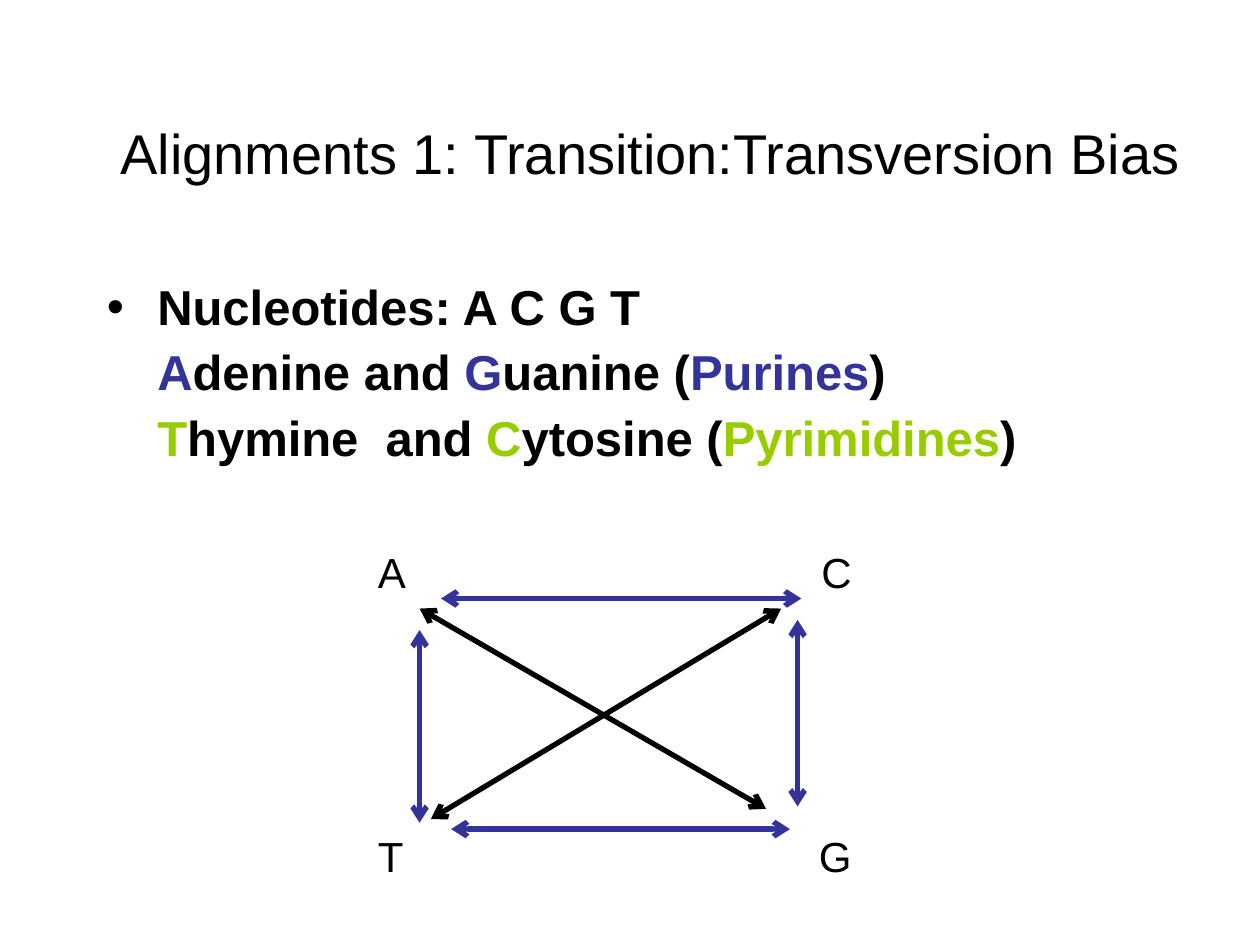
from lxml.etree import SubElement
from pptx import Presentation
from pptx.dml.color import RGBColor
from pptx.enum.shapes import MSO_CONNECTOR as Connector
from pptx.enum.text import MSO_ANCHOR as Anchor, PP_ALIGN as Align
from pptx.oxml.ns import qn
from pptx.util import Inches, Pt

COLOURS = {"black": "000000", "purine": "333399", "pyrimidine": "99CC00"}
TITLE_FONT = {"name": "Arial", "size": Pt(32)}
BODY_FONT = {"name": "Arial", "size": Pt(28), "bold": True}
LABEL_FONT = {"name": "Arial", "size": Pt(24)}

NUCLEOTIDE_LINES = [
    [("Nucleotides: A C G T", "black")],
    [("A", "purine"), ("denine and ", "black"), ("G", "purine"),
     ("uanine (", "black"), ("Purines", "purine"), (")", "black")],
    [("T", "pyrimidine"), ("hymine  and ", "black"), ("C", "pyrimidine"),
     ("ytosine (", "black"), ("Pyrimidines", "pyrimidine"), (")", "black")],
]
BASES = [
    ("A", 0, 0, 0.42),
    ("C", 3.52, 0, 0.44),
    ("G", 3.5, 2.25, 0.46),
    ("T", 0, 2.25, 0.4),
]
ARROWS = [
    ("black", (0.43, 0.54), (3.18, 2.13)),
    ("black", (0.52, 2.21), (3.3, 0.54)),
    ("purine", (0.43, 0.71), (0.43, 2.24)),
    ("purine", (3.43, 2.11), (3.43, 0.63)),
    ("purine", (0.6, 0.46), (3.46, 0.46)),
    ("purine", (3.37, 2.29), (0.68, 2.29)),
]


def set_values(target, values):
    for name, value in values.items():
        setattr(target, name, value)


def add_box(page, left, top, width, height, **frame_values):
    box = page.shapes.add_textbox(
        Inches(left), Inches(top), Inches(width), Inches(height))
    set_values(box.text_frame, {"word_wrap": True, **frame_values})
    return box.text_frame


def add_span(para, text, colour, font_values):
    span = para.add_run()
    span.text = text
    set_values(span.font, font_values)
    span.font.color.rgb = RGBColor.from_string(COLOURS[colour])


def indent_para(para, bulleted):
    properties = para._p.get_or_add_pPr()
    properties.set("marL", str(Inches(0.4)))
    properties.set("indent", str(Inches(-0.4 if bulleted else 0)))
    if bulleted:
        SubElement(properties, qn("a:buFont"), typeface="Arial")
        SubElement(properties, qn("a:buChar"), char="•")
    else:
        SubElement(properties, qn("a:buNone"))


def add_title(page, left, top, width, height):
    frame = add_box(page, left, top, width, height, vertical_anchor=Anchor.MIDDLE)
    para = frame.paragraphs[0]
    para.alignment = Align.CENTER
    add_span(para, "Alignments 1: Transition:Transversion Bias", "black", TITLE_FONT)


def add_nucleotides(page, left, top, width, height):
    frame = add_box(page, left, top, width, height)
    for index, spans in enumerate(NUCLEOTIDE_LINES):
        para = frame.add_paragraph() if index else frame.paragraphs[0]
        indent_para(para, bulleted=index == 0)
        set_values(para, {"line_spacing": 0.9, "space_before": Pt(7 if index else 0)})
        for text, colour in spans:
            add_span(para, text, colour, BODY_FONT)


def add_arrow(page, start, end, colour):
    arrow = page.shapes.add_connector(
        Connector.STRAIGHT, *(Inches(value) for value in start + end))
    arrow.line.width = Pt(3)
    arrow.line.color.rgb = RGBColor.from_string(COLOURS[colour])
    outline = arrow.line._get_or_add_ln()
    for tag in ("a:headEnd", "a:tailEnd"):
        SubElement(outline, qn(tag), type="arrow")
    SubElement(arrow._element.spPr, qn("a:effectLst"))


def add_substitutions(page, left, top):
    for colour, start, end in ARROWS:
        add_arrow(page, (left + start[0], top + start[1]),
                  (left + end[0], top + end[1]), colour)
    for base, across, down, width in BASES:
        frame = add_box(page, left + across, top + down, width, 0.5, word_wrap=False)
        add_span(frame.paragraphs[0], base, "black", LABEL_FONT)


def main():
    deck = Presentation()
    set_values(deck, {"slide_width": Inches(10), "slide_height": Inches(7.5)})
    page = deck.slides.add_slide(deck.slide_layouts[6])
    add_title(page, 0.33, 0.58, 9.67, 1.25)
    add_nucleotides(page, 0.75, 2.2, 8.5, 1.5)
    add_substitutions(page, 2.9, 4.29)
    deck.save("out.pptx")


if __name__ == "__main__":
    main()
